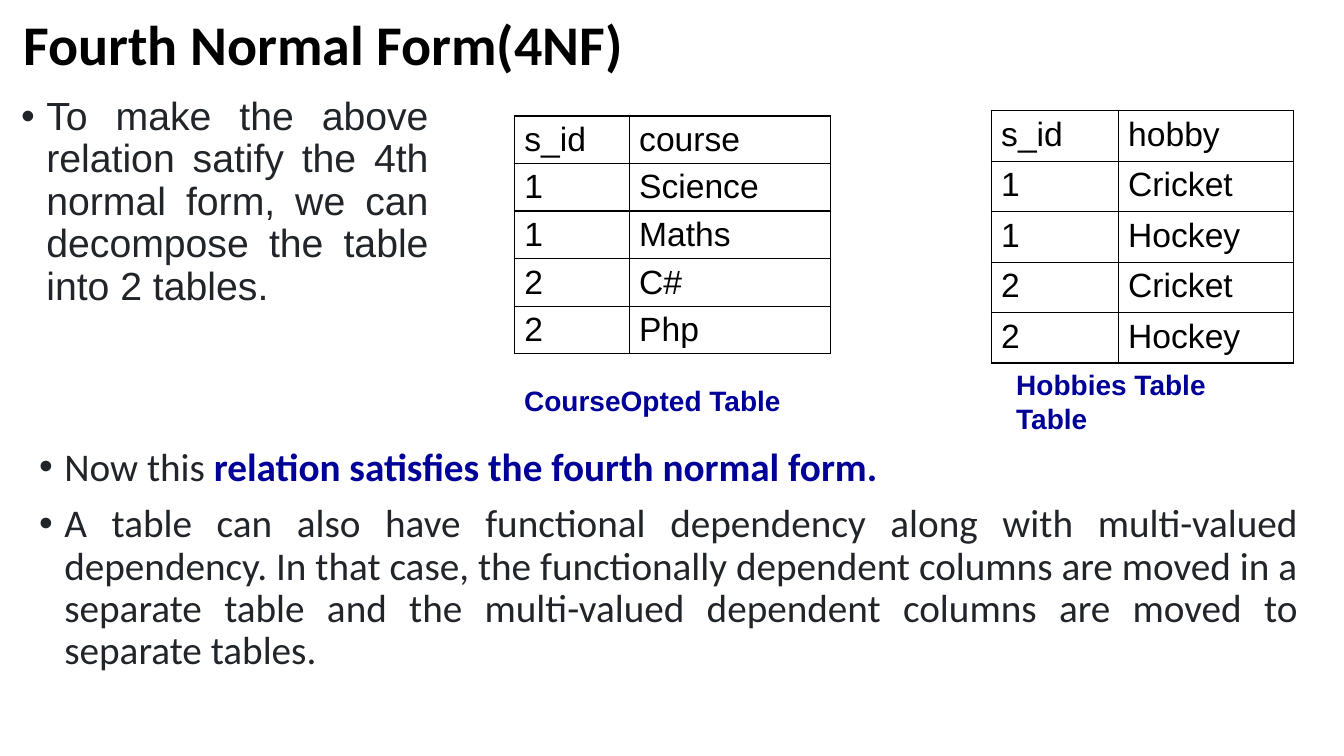
import pptx
import pptx.util
import pptx.oxml
import pptx.oxml.ns
import pptx.dml.color
import pptx.enum.text
import pptx.enum.shapes

Inches = pptx.util.Inches
Pt = pptx.util.Pt
RGBColor = pptx.dml.color.RGBColor
ALIGN = pptx.enum.text.PP_ALIGN
ANCHOR = pptx.enum.text.MSO_ANCHOR
FIT = pptx.enum.text.MSO_AUTO_SIZE

BLACK = RGBColor(0x00, 0x00, 0x00)
WHITE = RGBColor(0xFF, 0xFF, 0xFF)
DARK = RGBColor(0x21, 0x25, 0x29)
NAVY = RGBColor(0x00, 0x00, 0x99)

HEAD = dict(name="Calibri", size=Pt(40), bold=True, color=BLACK)
LEAD = dict(name="Arial", size=Pt(28), bold=False, color=DARK)
NOTE = dict(LEAD, name="Calibri")
KEY = dict(NOTE, bold=True, color=NAVY)
CELL = dict(name="Arial", size=Pt(24), bold=False, color=BLACK)
LABEL = dict(name="Arial", size=Pt(20), bold=True, color=NAVY)


def apply(item, form):
    """Set each value of a dict on an object."""
    for name, value in form.items():
        setattr(item, name, value)


def make(tag, inner="", **attrs):
    """Make a drawing element."""
    text = "".join(f' {name}="{value}"' for name, value in attrs.items())
    space = pptx.oxml.ns.nsdecls("a")
    return pptx.oxml.parse_xml(f"<a:{tag} {space}{text}>{inner}</a:{tag}>")


class Page:
    """Holds the style and the current slide."""

    def __init__(self, deck, ink=DARK, line=BLACK, fill=WHITE):
        """Add a slide with a title and a body."""
        self.slide = deck.slides.add_slide(deck.slide_layouts[1])
        self.ink, self.line, self.fill = ink, line, fill

    def place(self, shape, box):
        """Move a shape to its box."""
        names = ("left", "top", "width", "height")
        apply(shape, dict(zip(names, map(Inches, box))))

    def put(self, para, runs):
        """Add runs of text with their formats."""
        for text, form in runs:
            run = para.add_run()
            run.text = text
            font = dict(form)
            run.font.color.rgb = font.pop("color")
            apply(run.font, font)

    def title(self, text, box):
        """Fill the title."""
        shape = self.slide.shapes.title
        self.place(shape, box)
        apply(shape.text_frame, dict(word_wrap=True, auto_size=FIT.NONE,
                                     vertical_anchor=ANCHOR.MIDDLE))
        para = shape.text_frame.paragraphs[0]
        apply(para, dict(alignment=ALIGN.LEFT, line_spacing=0.9))
        self.put(para, [(text, HEAD)])

    def bullets(self, shape, items):
        """Fill a frame with justified bullets."""
        frame = shape.text_frame
        apply(frame, dict(word_wrap=True, auto_size=FIT.NONE))
        for i, runs in enumerate(items):
            para = frame.add_paragraph() if i else frame.paragraphs[0]
            apply(para, dict(alignment=ALIGN.JUSTIFY, line_spacing=0.9,
                             space_before=Pt(10 if i else 0)))
            props = para._p.get_or_add_pPr()
            props.set("marL", str(Inches(0.25)))
            props.set("indent", str(Inches(-0.25)))
            props.append(make("buClr", f'<a:srgbClr val="{self.ink}"/>'))
            props.append(make("buFont", typeface="Arial"))
            props.append(make("buChar", char="•"))
            self.put(para, runs)

    def body(self, items, box):
        """Fill the body."""
        shape = self.slide.placeholders[1]
        self.place(shape, box)
        self.bullets(shape, items)

    def notes(self, items, box):
        """Add a text box of bullets."""
        self.bullets(self.slide.shapes.add_textbox(*map(Inches, box)), items)

    def table(self, rows, left, top, widths, height):
        """Add a ruled table."""
        size = (sum(widths), height * len(rows))
        frame = self.slide.shapes.add_table(
            len(rows), len(widths), *map(Inches, (left, top, *size)))
        grid = frame.table
        apply(grid, dict(first_row=False, horz_banding=False))
        for col, width in zip(grid.columns, widths):
            col.width = Inches(width)
        for row, texts in zip(grid.rows, rows):
            row.height = Inches(height)
            for cell, text in zip(row.cells, texts):
                self.rule(cell)
                cell.fill.solid()
                cell.fill.fore_color.rgb = self.fill
                self.put(cell.text_frame.paragraphs[0], [(text, CELL)])

    def rule(self, cell):
        """Draw the four borders of a cell."""
        ink = f'<a:solidFill><a:srgbClr val="{self.line}"/></a:solidFill>'
        for side in "LRTB":
            cell._tc.get_or_add_tcPr().append(
                make("ln" + side, ink, w=Pt(1)))

    def label(self, text, box):
        """Add a filled label."""
        shape = self.slide.shapes.add_shape(
            pptx.enum.shapes.MSO_SHAPE.RECTANGLE, *map(Inches, box))
        shape.shadow.inherit = False
        shape.fill.solid()
        shape.fill.fore_color.rgb = self.fill
        shape.line.fill.background()
        apply(shape.text_frame, dict(word_wrap=True,
                                     auto_size=FIT.SHAPE_TO_FIT_TEXT,
                                     vertical_anchor=ANCHOR.MIDDLE))
        para = shape.text_frame.paragraphs[0]
        para.alignment = ALIGN.LEFT
        self.put(para, [(text, LABEL)])


def main():
    """Build the slide and save it."""
    deck = pptx.Presentation()
    apply(deck, dict(slide_width=Inches(13.33), slide_height=Inches(7.5)))
    page = Page(deck)
    page.title("Fourth Normal Form(4NF)", (0.13, 0.02, 6.39, 0.89))
    page.body([[("To make the above relation satify the 4th normal form, "
                 "we can decompose the table into 2 tables.", LEAD)]],
              (0.11, 0.91, 4.24, 3.32))
    page.notes([
        [("Now this ", NOTE),
         ("relation satisfies the fourth normal form.", KEY)],
        [("A table can also have functional dependency along with "
          "multi-valued dependency. In that case, the functionally "
          "dependent columns are moved in a separate table and the "
          "multi-valued dependent columns are moved to separate tables.",
          NOTE)],
    ], (0.29, 4.39, 12.68, 2.93))

    ids = ("s_id", "1", "1", "2", "2")
    courses = ("course", "Science", "Maths", "C#", "Php")
    hobbies = ("hobby", "Cricket", "Hockey", "Cricket", "Hockey")
    page.table(list(zip(ids, courses)), 5.1, 1.15, (1.14, 2), 0.47)
    page.label("CourseOpted Table", (5.1, 3.75, 3.36, 0.44))
    page.table(list(zip(ids, hobbies)), 9.83, 1.1, (1.26, 1.74), 0.5)
    page.label("Hobbies Table Table", (9.98, 3.76, 2.72, 0.44))
    deck.save("out.pptx")


main()
